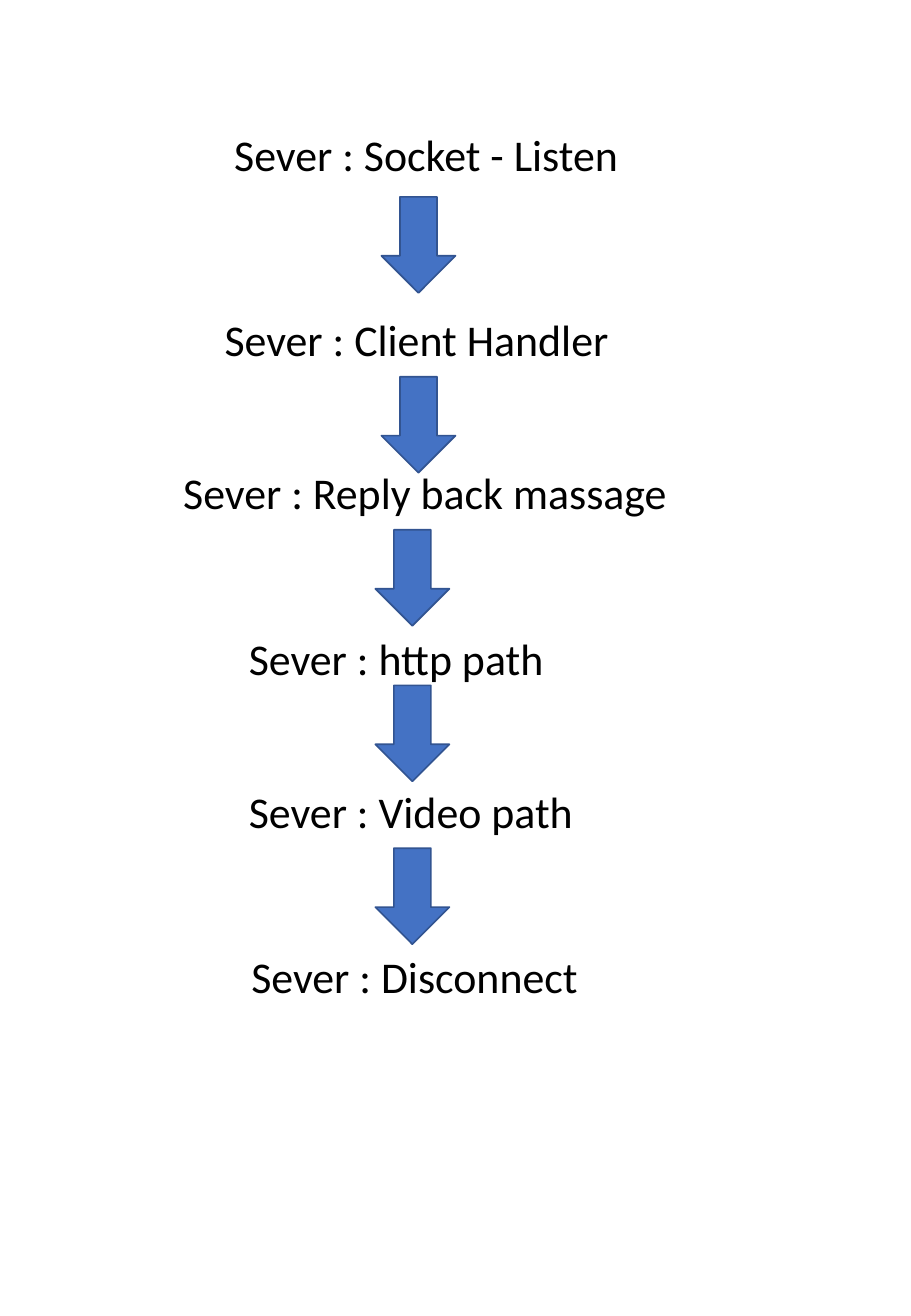
from pptx import Presentation
from pptx import util as u
from pptx.dml import color
from pptx.enum import shapes, text

PX = 9144  # EMU per px, 100 px to the inch
HUES = {"paper": "FFFFFF", "ink": "000000", "arrow": "4472C4", "edge": "325491"}

# left, top, width, label
STEPS = [
    (183, 100, 567, "Sever : Socket - Listen"),
    (175, 252, 549, "Sever : Client Handler"),
    (141, 378, 530, "Sever : Reply back massage"),
    (195, 515, 530, "Sever : http path"),
    (195, 641, 351, "Sever : Video path"),
    (197, 777, 418, "Sever : Disconnect"),
]
# left, top
ARROWS = [(314, 162), (314, 310), (309, 436), (309, 564), (309, 698)]


def hue(name):
    return color.RGBColor.from_string(HUES[name])


def write(frame, words, size=26, font="Calibri", ink="ink"):
    run = frame.paragraphs[0].add_run()
    run.text = words
    run.font.size = u.Pt(size)
    run.font.name = font
    run.font.color.rgb = hue(ink)


class Chart:
    """Draws the flow of steps on one slide."""

    step_high = 54
    arrow_wide, arrow_high = 61, 79

    def __init__(self, deck):
        self.slide = deck.slides.add_slide(deck.slide_layouts[6])
        fill = self.slide.background.fill
        fill.solid()
        fill.fore_color.rgb = hue("paper")

    def step(self, left, top, wide, label):
        area = [n * PX for n in (left, top, wide, self.step_high)]
        frame = self.slide.shapes.add_textbox(*area).text_frame
        frame.word_wrap = True
        frame.auto_size = text.MSO_AUTO_SIZE.SHAPE_TO_FIT_TEXT
        write(frame, label)

    def arrow(self, left, top):
        area = [n * PX for n in (left, top, self.arrow_wide, self.arrow_high)]
        shape = self.slide.shapes.add_shape(shapes.MSO_SHAPE.DOWN_ARROW, *area)
        shape.shadow.inherit = False
        shape.fill.solid()
        shape.fill.fore_color.rgb = hue("arrow")
        shape.line.color.rgb = hue("edge")
        shape.line.width = u.Pt(1)


def main():
    deck = Presentation()
    deck.slide_width, deck.slide_height = 750 * PX, 1083 * PX
    chart = Chart(deck)
    for step in STEPS:
        chart.step(*step)
    for arrow in ARROWS:
        chart.arrow(*arrow)
    deck.save("out.pptx")


if __name__ == "__main__":
    main()
